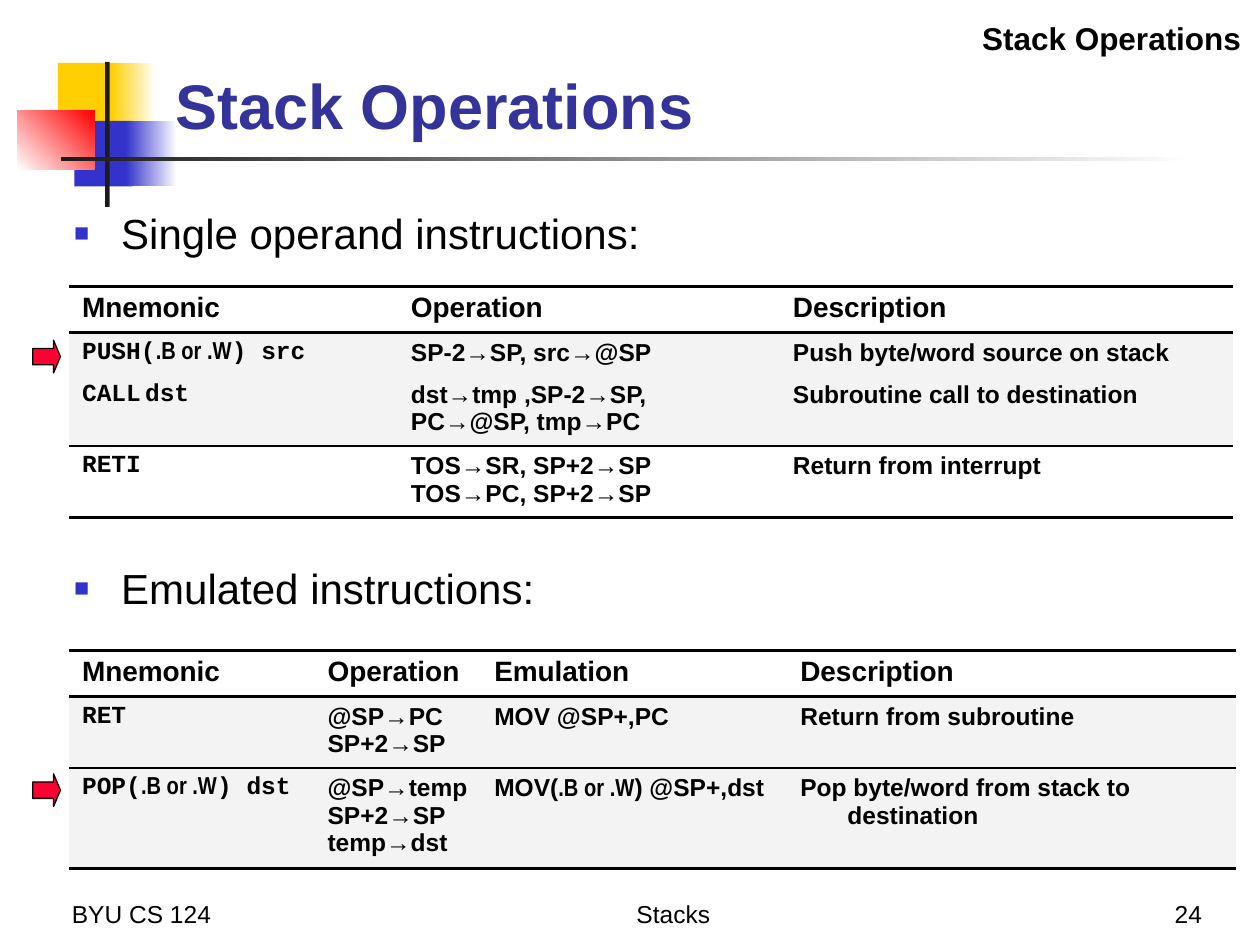
from dataclasses import dataclass

from lxml import etree
from pptx import Presentation
from pptx import util as u
from pptx.dml.color import RGBColor
from pptx.enum import shapes, text
from pptx.oxml import ns

NARROW_PART = ".B or .W"


@dataclass(frozen=True)
class Theme:
    sans: str = "Arial"
    narrow: str = "Arial Narrow"
    mono: str = "Courier New"
    ink: str = "000000"
    title: str = "333399"
    blue: str = "3333CC"
    yellow: str = "FFCF01"
    red: str = "FF0000"
    arrow: str = "FF0033"
    bar: str = "1C1C1C"
    white: str = "FFFFFF"
    shade: str = "F3F3F3"
    title_size: int = 36
    body_size: int = 24
    tag_size: int = 18
    head_size: int = 16
    small_size: int = 14
    hang: float = 0.95


def rgb(value):
    return RGBColor.from_string(value)


def sub(parent, tag, **attrs):
    return etree.SubElement(parent, ns.qn(tag), attrs)


def place(sp, box):
    sp.left, sp.top, sp.width, sp.height = (u.Cm(v) for v in box)


class SlideBuilder:
    def __init__(self, s, theme):
        self.s = s
        self.t = theme

    def run(self, p, words, size, color=None, bold=False, font=None):
        r = p.add_run()
        r.text = words
        r.font.name = font or self.t.sans
        r.font.size = u.Pt(size)
        r.font.bold = bold
        r.font.color.rgb = rgb(color or self.t.ink)

    def indent(self, p, hang):
        pPr = p._p.get_or_add_pPr()
        pPr.set("marL", str(u.Cm(hang)))
        pPr.set("indent", str(-u.Cm(hang)))
        return pPr

    def rect(self, box, color, end=None, angle=0):
        """Add a rectangle; with end, it fades from color to end."""
        sp = self.s.shapes.add_shape(shapes.MSO_SHAPE.RECTANGLE, *map(u.Cm, box))
        sp.shadow.inherit = False
        sp.line.fill.background()
        if end is None:
            sp.fill.solid()
            sp.fill.fore_color.rgb = rgb(color)
            return
        sp.fill.gradient()
        sp.fill.gradient_angle = angle
        for stop, position, value in zip(sp.fill.gradient_stops, (0, 1), (color, end)):
            stop.position = position
            stop.color.rgb = rgb(value)

    def arrow(self, left, top):
        box = left, top, 0.56, 0.66
        sp = self.s.shapes.add_shape(shapes.MSO_SHAPE.RIGHT_ARROW, *map(u.Cm, box))
        sp.adjustments[0], sp.adjustments[1] = 0.5, 0.25
        sp.shadow.inherit = False
        sp.fill.solid()
        sp.fill.fore_color.rgb = rgb(self.t.arrow)
        sp.line.color.rgb = rgb(self.t.ink)
        sp.line.width = u.Pt(0.75)

    def title(self, box, words):
        sp = self.s.shapes.title
        place(sp, box)
        tf = sp.text_frame
        tf.auto_size = text.MSO_AUTO_SIZE.NONE
        tf.vertical_anchor = text.MSO_ANCHOR.BOTTOM
        p = tf.paragraphs[0]
        p.alignment = text.PP_ALIGN.LEFT
        self.run(p, words, self.t.title_size, self.t.title, bold=True)

    def bullets(self, box, items, gap):
        sp = self.s.placeholders[1]
        place(sp, box)
        tf = sp.text_frame
        tf.auto_size = text.MSO_AUTO_SIZE.NONE
        for i, words in enumerate(items):
            p = tf.add_paragraph() if i else tf.paragraphs[0]
            pPr = self.indent(p, self.t.hang)
            p.space_before = u.Pt(gap if i else 0)
            sub(sub(pPr, "a:buClr"), "a:srgbClr", val=self.t.blue)
            sub(pPr, "a:buSzPct", val="60000")
            sub(pPr, "a:buFont", typeface=self.t.sans)
            sub(pPr, "a:buChar", char="■")
            self.run(p, words, self.t.body_size)

    def label(self, box, words, size, align, anchor, bold=False):
        tf = self.s.shapes.add_textbox(*map(u.Cm, box)).text_frame
        tf.word_wrap = True
        tf.vertical_anchor = anchor
        p = tf.paragraphs[0]
        p.alignment = align
        self.run(p, words, size, bold=bold)

    def borders(self, cell, top, bottom):
        tcPr = cell._tc.get_or_add_tcPr()
        widths = {"a:lnL": 0, "a:lnR": 0, "a:lnT": top, "a:lnB": bottom}
        for i, (tag, width) in enumerate(widths.items()):
            ln = etree.Element(ns.qn(tag), w=str(u.Pt(width)))
            if width:
                sub(sub(ln, "a:solidFill"), "a:srgbClr", val=self.t.ink)
            else:
                sub(ln, "a:noFill")
            tcPr.insert(i, ln)

    def cell_text(self, cell, lines, size, font, align):
        """Write one paragraph per line, with the size suffix in the narrow font."""
        for i, line in enumerate(lines.split("\n")):
            p = cell.text_frame.add_paragraph() if i else cell.text_frame.paragraphs[0]
            p.alignment = align
            tabbed = "\t" in line
            pPr = self.indent(p, 0 if tabbed else self.t.hang)
            if tabbed:
                sub(sub(pPr, "a:tabLst"), "a:tab", pos=str(u.Cm(3.57)), algn="l")
            for words, face in zip(line.partition(NARROW_PART),
                                   (font, self.t.narrow, font)):
                if words:
                    self.run(p, words, size, bold=True, font=face)

    def table(self, left, top, widths, heights, rows, rules, fills):
        """rules holds the line widths from the top edge to the bottom edge."""
        frame = self.s.shapes.add_table(
            len(rows), len(widths), u.Cm(left), u.Cm(top),
            u.Cm(sum(widths)), u.Cm(sum(heights)))
        tbl = frame.table
        tbl.first_row = tbl.horz_banding = False
        for col, width in zip(tbl.columns, widths):
            col.width = u.Cm(width)
        for i, row in enumerate(rows):
            tbl.rows[i].height = u.Cm(heights[i])
            for j, lines in enumerate(row):
                cell = tbl.cell(i, j)
                cell.fill.solid()
                cell.fill.fore_color.rgb = rgb(fills[i])
                self.borders(cell, rules[i], rules[i + 1])
                size = self.t.small_size if i else self.t.head_size
                font = self.t.mono if i and j == 0 else self.t.sans
                justified = i == 0 or j < 2
                align = text.PP_ALIGN.JUSTIFY if justified else text.PP_ALIGN.LEFT
                self.cell_text(cell, lines, size, font, align)


def main():
    prs = Presentation()
    prs.slide_width, prs.slide_height = u.Cm(25.4), u.Cm(19.05)
    t = Theme()
    b = SlideBuilder(prs.slides.add_slide(prs.slide_layouts[1]), t)
    align, anchor = text.PP_ALIGN, text.MSO_ANCHOR

    b.rect((1.17, 1.27, 1.22, 1.32), t.yellow)
    b.rect((2.24, 1.27, 0.91, 1.32), t.yellow, t.white)
    b.rect((1.5, 2.44, 1.17, 1.32), t.blue)
    b.rect((2.54, 2.44, 1.02, 1.32), t.blue, t.white)
    b.rect((0.35, 2.23, 1.55, 1.18), t.white, t.red, angle=45)
    b.rect((2.12, 1.25, 0.09, 2.92), t.bar)
    b.rect((1.23, 3.16, 22.86, 0.08), t.bar, t.white)

    for left, width, words, side in (
            (1.2, 5.28, "BYU CS 124", align.LEFT),
            (7.06, 13.03, "Stacks", align.CENTER),
            (19.2, 5.28, "24", align.RIGHT)):
        b.label((left, 17.58, width, 1.27), words, t.small_size, side, anchor.BOTTOM)

    b.title((3.28, 0.58, 21.64, 2.41), "Stack Operations")
    b.bullets((1.24, 4.06, 23.75, 10.46),
              ["Single operand instructions:", "Emulated instructions:"], gap=174)

    b.table(1.4, 5.77, (6.63, 7.7, 9.12), (0.87, 0.81, 1.37, 1.37), [
        ("Mnemonic", "Operation", "Description"),
        ("PUSH(.B or .W) src", "SP-2→SP, src→@SP", "Push byte/word source on stack"),
        ("CALL\tdst", "dst→tmp ,SP-2→SP,\nPC→@SP, tmp→PC",
         "Subroutine call to destination"),
        ("RETI", "TOS→SR, SP+2→SP\nTOS→PC, SP+2→SP", "Return from interrupt"),
    ], (2, 2, 0, 1, 2), (t.white, t.shade, t.shade, t.white))
    b.arrow(0.66, 6.86)

    b.table(1.4, 13.11, (4.95, 3.36, 6.17, 9.04), (0.87, 1.4, 1.92), [
        ("Mnemonic", "Operation", "Emulation", "Description"),
        ("RET", "@SP→PC\nSP+2→SP", "MOV @SP+,PC", "Return from subroutine"),
        ("POP(.B or .W) dst", "@SP→temp\nSP+2→SP\ntemp→dst",
         "MOV(.B or .W) @SP+,dst", "Pop byte/word from stack to destination"),
    ], (2.25, 2.25, 1, 2), (t.white, t.shade, t.shade))
    b.arrow(0.66, 15.6)

    b.label((15.06, 0.25, 10.21, 1.02), "Stack Operations", t.tag_size,
            align.RIGHT, anchor.TOP, bold=True)
    prs.save("out.pptx")


if __name__ == "__main__":
    main()
